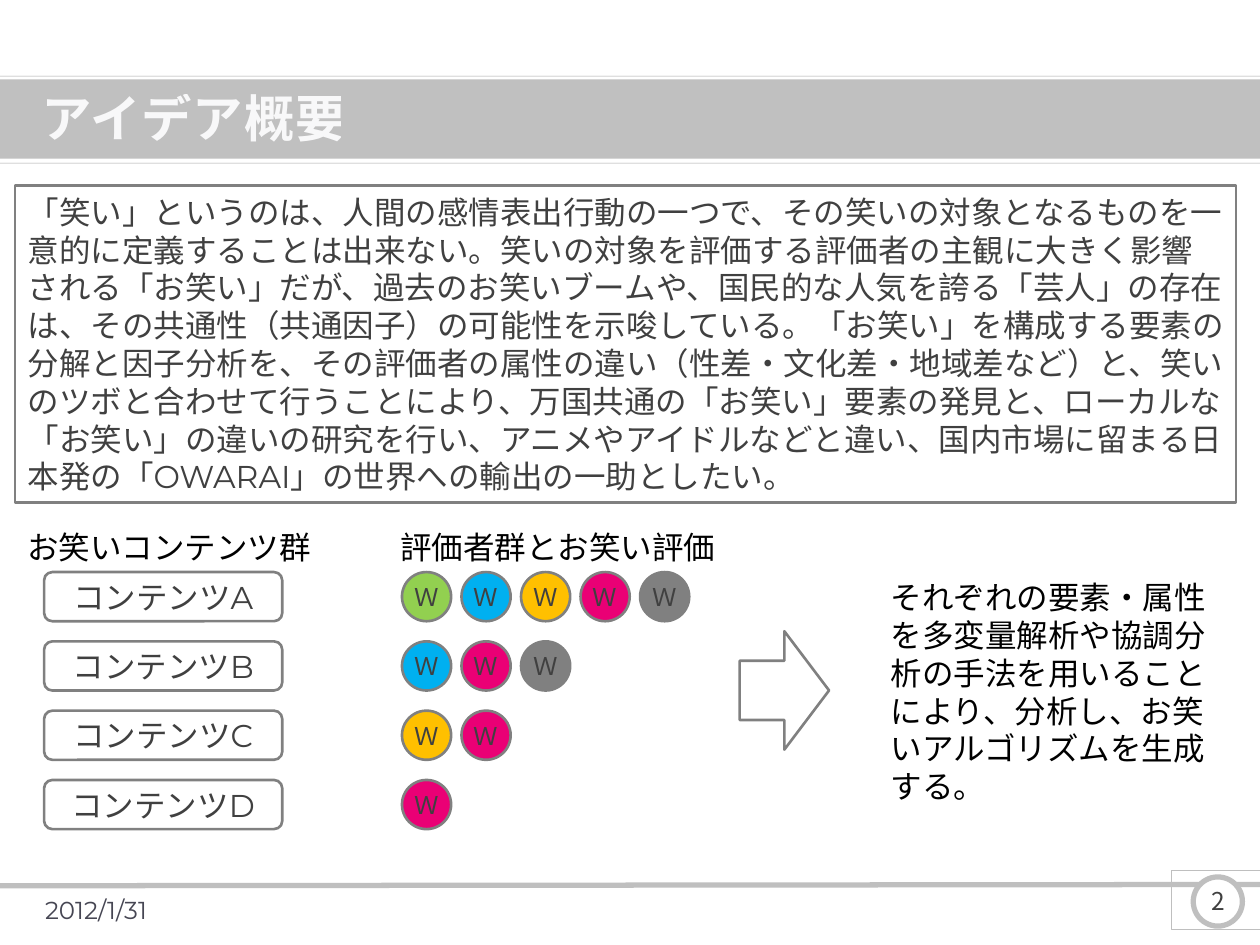
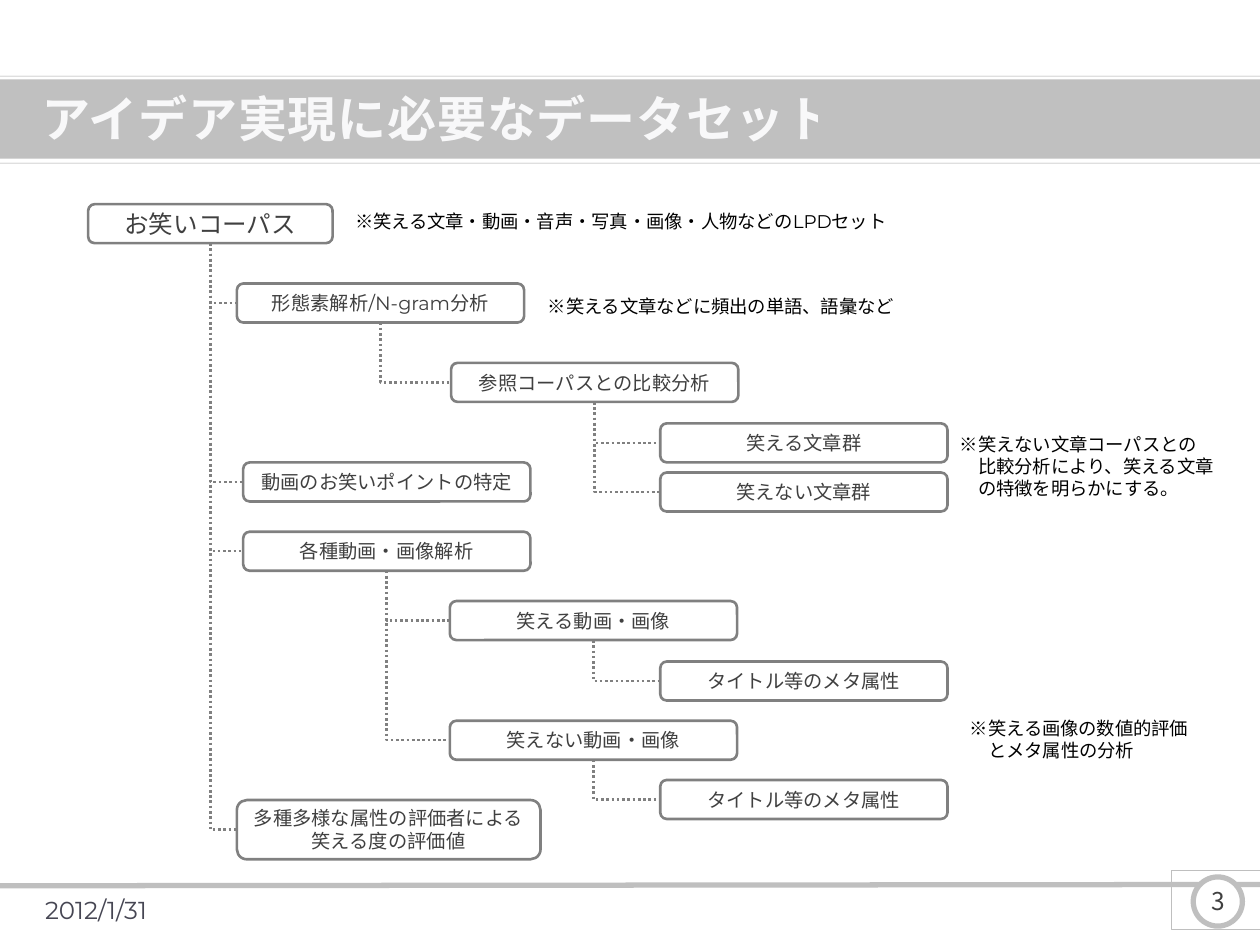
from lxml.etree import SubElement
from pptx import Presentation
from pptx.dml.color import RGBColor
from pptx.enum.dml import MSO_LINE
from pptx.enum.shapes import MSO_CONNECTOR, MSO_SHAPE
from pptx.enum.text import MSO_ANCHOR, MSO_AUTO_SIZE, PP_ALIGN
from pptx.oxml.ns import qn
from pptx.util import Inches, Pt

BODY_FONT, TITLE_FONT = "Montserrat", "Noto Sans CJK JP"
BLACK, INK, DATE_INK, TITLE_INK = "000000", "404040", "464653", "FCFCFD"
WHITE, BAND, RULE, EDGE = "FFFFFF", "C0C0C0", "BFBFBF", "808080"
GREEN, BLUE, AMBER, PINK, GRAY = "92D050", "00B0F0", "FFC000", "EA0075", "808080"

DATE = "2012/1/31"

OVERVIEW = {
    "title": "アイデア概要",
    "summary": "「笑い」というのは、人間の感情表出行動の一つで、その笑いの対象となるものを一意的に定義することは出来ない。"
               "笑いの対象を評価する評価者の主観に大きく影響される「お笑い」だが、過去のお笑いブームや、"
               "国民的な人気を誇る「芸人」の存在は、その共通性（共通因子）の可能性を示唆している。"
               "「お笑い」を構成する要素の分解と因子分析を、その評価者の属性の違い（性差・文化差・地域差など）と、"
               "笑いのツボと合わせて行うことにより、万国共通の「お笑い」要素の発見と、ローカルな「お笑い」の違いの研究を行い、"
               "アニメやアイドルなどと違い、国内市場に留まる日本発の「OWARAI」の世界への輸出の一助としたい。",
    "headings": [("お笑いコンテンツ群", 0.12, 2.47), ("評価者群とお笑い評価", 3.08, 2.73)],
    "contents": [
        ("コンテンツA", [GREEN, BLUE, AMBER, PINK, GRAY]),
        ("コンテンツB", [BLUE, PINK, GRAY]),
        ("コンテンツC", [AMBER, PINK]),
        ("コンテンツD", [PINK]),
    ],
    "result": "それぞれの要素・属性を多変量解析や協調分析の手法を用いることにより、分析し、お笑いアルゴリズムを生成する。",
}

DATASET_TITLE = "アイデア実現に必要なデータセット"
NODE_SIZE = (2.28, 0.31)
# key: (parent, text, left, top)
NODES = {
    "corpus": (None, "お笑いコーパス", 0.7, 1.62),
    "ngram": ("corpus", "形態素解析/N-gram分析", 1.88, 2.25),
    "compare": ("ngram", "参照コーパスとの比較分析", 3.58, 2.88),
    "funny text": ("compare", "笑える文章群", 5.24, 3.36),
    "plain text": ("compare", "笑えない文章群", 5.24, 3.75),
    "video points": ("corpus", "動画のお笑いポイントの特定", 1.93, 3.67),
    "media": ("corpus", "各種動画・画像解析", 1.93, 4.22),
    "funny media": ("media", "笑える動画・画像", 3.57, 4.77),
    "funny meta": ("funny media", "タイトル等のメタ属性", 5.24, 5.25),
    "plain media": ("media", "笑えない動画・画像", 3.57, 5.72),
    "plain meta": ("plain media", "タイトル等のメタ属性", 5.24, 6.19),
    "ratings": ("corpus", "多種多様な属性の評価者による笑える度の評価値", 1.88, 6.35),
}
SPECIAL_SIZES = {"corpus": (1.94, 0.31), "ratings": (2.41, 0.47)}
NOTES = [
    (["※笑える文章・動画・音声・写真・画像・人物などのLPDセット"], (2.72, 1.62, 4.5, 0.28)),
    (["※笑える文章などに頻出の単語、語彙など"], (4.25, 2.29, 3, 0.28)),
    (["※笑えない文章コーパスとの", "比較分析により、笑える文章", "の特徴を明らかにする。"],
     (7.52, 3.39, 2.26, 0.63)),
    (["※笑える画像の数値的評価", "とメタ属性の分析"], (7.6, 5.64, 1.97, 0.45)),
]


def rgb(color):
    return RGBColor.from_string(color)


def paint(fill, color, alpha=None):
    """Fill with a colour, or with nothing; alpha is opacity in percent."""
    if color is None:
        fill.background()
        return
    fill.solid()
    fill.fore_color.rgb = rgb(color)
    if alpha is not None:
        clr = fill._xPr.find(qn("a:solidFill"))[0]
        SubElement(clr, qn("a:alpha"), val=str(alpha * 1000))


def write(p, text, size=18, color=INK, font=BODY_FONT, align=PP_ALIGN.LEFT,
          bold=False, alpha=None, spacing=None):
    p.alignment = align
    r = p.add_run()
    r.text = text
    r.font.size, r.font.bold, r.font.name = Pt(size), bold, font
    paint(r.font.fill, color, alpha)
    rPr = r.font._element
    rPr.find(qn("a:latin")).addnext(rPr.makeelement(qn("a:ea"), {"typeface": font}))
    if spacing:
        rPr.set("spc", str(spacing))


def add_box(slide, kind, at, text=None, fill=None, line=EDGE, width=1.5,
            alpha=None, tight=False, **fmt):
    sp = slide.shapes.add_shape(kind, *map(Inches, at))
    sp.shadow.inherit = False
    paint(sp.fill, fill, alpha)
    paint(sp.line.fill, line)
    if line:
        sp.line.width = Pt(width)
    if text:
        tf = sp.text_frame
        tf.vertical_anchor = MSO_ANCHOR.MIDDLE
        tf.word_wrap = not tight
        if tight:
            tf.margin_left = tf.margin_right = tf.margin_top = tf.margin_bottom = 0
        write(tf.paragraphs[0], text, **{"align": PP_ALIGN.CENTER, **fmt})
    return sp


def add_text(slide, lines, at, wrap=False, anchor=MSO_ANCHOR.TOP, hang=0, **fmt):
    """Text box with one paragraph a line; hang indents all but the first."""
    tf = slide.shapes.add_textbox(*map(Inches, at)).text_frame
    tf.word_wrap = wrap
    tf.auto_size = MSO_AUTO_SIZE.SHAPE_TO_FIT_TEXT
    tf.vertical_anchor = anchor
    for i, line in enumerate(lines):
        p = tf.add_paragraph() if i else tf.paragraphs[0]
        write(p, line, **fmt)
        if i and hang:
            p._p.get_or_add_pPr().set("marL", str(Pt(hang)))


def add_line(slide, kind, x1, y1, x2, y2, color, width):
    cxn = slide.shapes.add_connector(kind, *map(Inches, (x1, y1, x2, y2)))
    cxn.line.color.rgb = rgb(color)
    cxn.line.width = Pt(width)
    SubElement(cxn._element.spPr, qn("a:effectLst"))
    return cxn


def add_elbow(slide, x1, y1, x2, y2):
    """Dotted line that goes down and then right: a one-bend connector turned by 270 degrees."""
    cx, cy = (x1 + x2) / 2, (y1 + y2) / 2
    dx, dy = (x2 - x1) / 2, (y2 - y1) / 2
    cxn = add_line(slide, MSO_CONNECTOR.ELBOW, cx + dy, cy - dx, cx - dy, cy + dx, EDGE, 1.5)
    cxn.line.dash_style = MSO_LINE.ROUND_DOT
    spPr = cxn._element.spPr
    spPr.find(qn("a:xfrm")).set("rot", str(270 * 60000))
    spPr.find(qn("a:prstGeom")).set("prst", "bentConnector2")


def move_bands_to_layout(slide):
    """Draw the shared bands and footer line, then hand them over to the slide's layout."""
    bands = [
        add_box(slide, MSO_SHAPE.RECTANGLE, (0, 0.63, 10, 0.63), fill=BAND, line=None),
        add_line(slide, MSO_CONNECTOR.STRAIGHT, 0, 7.03, 10, 7.02, RULE, 3),
        add_box(slide, MSO_SHAPE.OVAL, (9.47, 6.96, 0.39, 0.39), fill=WHITE, line=RULE, width=3),
    ]
    for top in (1.29, 0.6):
        bands.append(add_box(slide, MSO_SHAPE.RECTANGLE, (0, top, 10, 0.01),
                             fill=BAND, alpha=50, line=None))
    for sp in bands:
        slide.slide_layout.shapes._spTree.append(sp._element)


def add_slide(prs, title, number, size):
    slide = prs.slides.add_slide(prs.slide_layouts[5])
    sp = slide.shapes.title
    sp.left, sp.top, sp.width, sp.height = map(Inches, (0.23, 0.62, 9.61, 0.63))
    tf = sp.text_frame
    tf.auto_size = MSO_AUTO_SIZE.NONE
    tf.vertical_anchor = MSO_ANCHOR.MIDDLE
    write(tf.paragraphs[0], title, size=size, color=TITLE_INK, font=TITLE_FONT,
          bold=True, alpha=95, spacing=50)
    add_text(slide, [DATE], (0.26, 7.02, 1.53, 0.4), wrap=True,
             anchor=MSO_ANCHOR.MIDDLE, size=14, color=DATE_INK)
    add_box(slide, MSO_SHAPE.RECTANGLE, (9.3, 6.91, 0.74, 0.47), str(number),
            line=RULE, width=0.75, size=14, font=TITLE_FONT)
    return slide


def fill_overview(slide):
    add_box(slide, MSO_SHAPE.RECTANGLE, (0.12, 1.47, 9.69, 2.52),
            OVERVIEW["summary"], align=PP_ALIGN.LEFT)
    for heading, left, width in OVERVIEW["headings"]:
        add_text(slide, [heading], (left, 4.14, width, 0.4), color=BLACK)
    for row, (content, raters) in enumerate(OVERVIEW["contents"]):
        top = 4.54 + 0.55 * row
        add_box(slide, MSO_SHAPE.ROUNDED_RECTANGLE, (0.35, top, 1.89, 0.39), content)
        for col, color in enumerate(raters):
            add_box(slide, MSO_SHAPE.OVAL, (3.19 + 0.4725 * col, top, 0.39, 0.39),
                    "Ｗ", fill=color, tight=True, size=14)
    add_box(slide, MSO_SHAPE.RIGHT_ARROW, (5.87, 5.01, 0.71, 0.94))
    add_text(slide, [OVERVIEW["result"]], (6.97, 4.54, 2.83, 1.92), wrap=True, color=BLACK)


def fill_dataset(slide):
    for key, (parent, text, left, top) in NODES.items():
        width, height = SPECIAL_SIZES.get(key, NODE_SIZE)
        add_box(slide, MSO_SHAPE.ROUNDED_RECTANGLE, (left, top, width, height), text,
                size=11 if parent else 14)
        if parent:
            _, _, p_left, p_top = NODES[parent]
            p_width, p_height = SPECIAL_SIZES.get(parent, NODE_SIZE)
            add_elbow(slide, p_left + p_width / 2, p_top + p_height, left, top + height / 2)
    for lines, at in NOTES:
        add_text(slide, lines, at, hang=10.5, size=10.5, color=BLACK)


def main():
    prs = Presentation()
    prs.slide_width, prs.slide_height = Inches(10), Inches(7.5)
    overview = add_slide(prs, OVERVIEW["title"], 2, size=28.8)
    move_bands_to_layout(overview)
    fill_overview(overview)
    fill_dataset(add_slide(prs, DATASET_TITLE, 3, size=28))
    prs.save("out.pptx")


if __name__ == "__main__":
    main()
